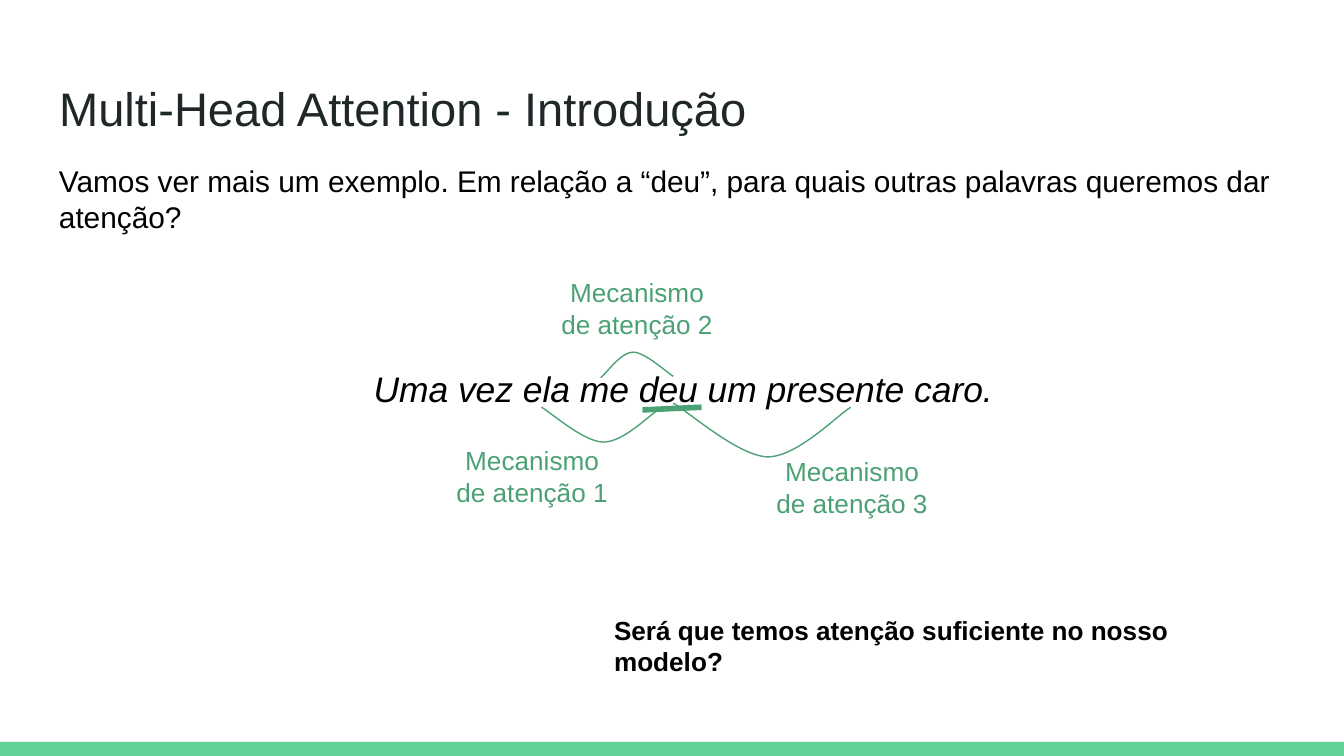
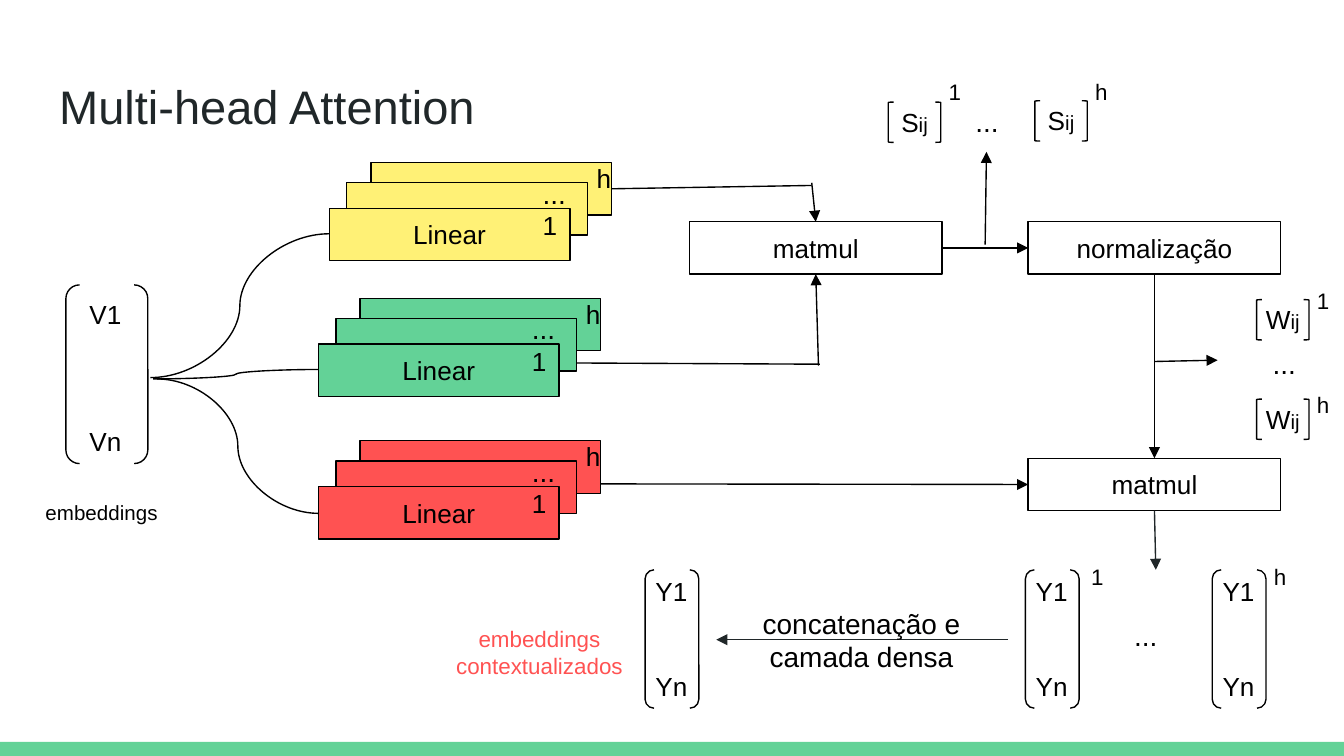
"""Build two slides on multi-head attention."""
from lxml import etree
from pptx import Presentation
from pptx.dml.color import RGBColor
from pptx.enum.shapes import MSO_CONNECTOR, MSO_SHAPE
from pptx.enum.text import MSO_ANCHOR, MSO_AUTO_SIZE, PP_ALIGN
from pptx.oxml.ns import qn
from pptx.util import Pt

PX = 9144
WIDE = 1000
FONT = "Arial"
THIN = 0.75
INSET = 10

BLACK = RGBColor(0x00, 0x00, 0x00)
DARK = RGBColor(0x20, 0x27, 0x29)
MINT = RGBColor(0x63, 0xD2, 0x97)
GREEN = RGBColor(0x4B, 0xA1, 0x73)
YELLOW = RGBColor(0xFF, 0xF1, 0x76)
RED = RGBColor(0xFF, 0x52, 0x52)

LEFT, CENTER = PP_ALIGN.LEFT, PP_ALIGN.CENTER
TOP, MIDDLE = MSO_ANCHOR.TOP, MSO_ANCHOR.MIDDLE
FIXED = MSO_AUTO_SIZE.NONE
STRAIGHT, CURVE = MSO_CONNECTOR.STRAIGHT, MSO_CONNECTOR.CURVE
RECT, PAIR = MSO_SHAPE.RECTANGLE, MSO_SHAPE.DOUBLE_BRACKET
OPEN, CLOSE = MSO_SHAPE.LEFT_BRACKET, MSO_SHAPE.RIGHT_BRACKET
ABOVE, BESIDE, BELOW, AFTER = range(4)


def scale(*sizes):
    """Turn px lengths into EMU."""
    return [size * PX for size in sizes]


def frame(shape, anchor=TOP):
    """Give a shape's text frame even insets and wrapping."""
    body = shape.text_frame
    body.word_wrap = True
    body.auto_size = FIXED
    body.vertical_anchor = anchor
    body.margin_left = body.margin_right = INSET * PX
    body.margin_top = body.margin_bottom = INSET * PX
    return body


def write(para, words, size, color=BLACK, bold=False, slant=False):
    """Add one run to a paragraph."""
    run = para.add_run()
    run.text = words
    font = run.font
    font.name, font.size = FONT, Pt(size)
    font.bold, font.italic = bold, slant
    font.color.rgb = color


def label(slide, box, lines, size=14, align=LEFT, gap=0, **style):
    """Add a text box with one paragraph per line."""
    body = frame(slide.shapes.add_textbox(*scale(*box)))
    for i, line in enumerate(lines):
        para = body.add_paragraph() if i else body.paragraphs[0]
        para.alignment = align
        if i and gap:
            para.space_before = Pt(gap)
        write(para, line, size, **style)
    return body


def dots(slide, x, y, w, align=CENTER):
    """Add an ellipsis."""
    label(slide, (x, y, w, 45), ["..."], 15, align)


def power(slide, x, y, mark):
    """Add a raised index."""
    label(slide, (x, y, 30, 40), [mark], 12)


def shape(slide, kind, box, fill=None, words=""):
    """Add a thin-lined preset shape."""
    item = slide.shapes.add_shape(kind, *scale(*box))
    item.shadow.inherit = False
    if fill is None:
        item.fill.background()
    else:
        item.fill.solid()
        item.fill.fore_color.rgb = fill
    item.line.color.rgb = BLACK
    item.line.width = Pt(THIN)
    if words:
        para = frame(item, MIDDLE).paragraphs[0]
        para.alignment = CENTER
        write(para, words, 14)
    return item


def link(slide, start, stop, arrow=True, color=BLACK, width=THIN,
         kind=STRAIGHT, source=None, target=None):
    """Add a connector, joined to (shape, side) pairs where given."""
    wire = slide.shapes.add_connector(kind, *scale(*start, *stop))
    if source:
        wire.begin_connect(*source)
    if target:
        wire.end_connect(*target)
    wire.line.color.rgb = color
    wire.line.width = Pt(width)
    props = wire.element.spPr
    if arrow:
        etree.SubElement(props.find(qn("a:ln")), qn("a:tailEnd"), type="triangle")
    etree.SubElement(props, qn("a:effectLst"))


def arc(slide, first, *points):
    """Draw an open Bezier curve, three points to each piece."""
    pen = slide.shapes.build_freeform(*first, scale=PX)
    pen.add_line_segments(points, close=False)
    item = pen.convert_to_shape()
    item.shadow.inherit = False
    item.fill.background()
    item.line.color.rgb = GREEN
    item.line.width = Pt(THIN)
    trace = item.element.find(".//" + qn("a:path"))
    steps = trace.findall(qn("a:lnTo"))
    for i in range(0, len(steps), 3):
        piece = etree.SubElement(trace, qn("a:cubicBezTo"))
        for step in steps[i:i + 3]:
            piece.append(step[0])
            trace.remove(step)


def stack(slide, x, y, fill):
    """Draw h stacked linear layers and return the rear one."""
    rear = shape(slide, RECT, (x + 31, y - 34, 179, 39), fill)
    shape(slide, RECT, (x + 13, y - 19, 179, 39), fill)
    shape(slide, RECT, (x, y, 179, 39), fill, "Linear")
    label(slide, (x + 149, y - 9, 30, 44), ["1"])
    dots(slide, x + 149, y - 34, 77, LEFT)
    label(slide, (x + 189, y - 44, 21, 44), ["h"])
    return rear


def matrix(slide, x, y, name, w, mark, rise):
    """Draw a bracketed matrix symbol with its head index."""
    shape(slide, OPEN, (x, y, 4, 30))
    shape(slide, CLOSE, (x + 35, y, 4, 30))
    body = label(slide, (x - (w - 38) // 2, y - 7, w, 44), [name], align=CENTER)
    write(body.paragraphs[0], "ij", 11)
    power(slide, x + 35, y - rise, mark)


def vector(slide, box, name, lift, gap):
    """Draw a column vector from item 1 to item n."""
    x, y, w, h = box
    shape(slide, PAIR, box)
    label(slide, (x + w // 2 - 33, y - lift, 65, h + 5 + lift),
          [name + "1", name + "n"], align=CENTER, gap=gap)


def start(deck, words, y, w):
    """Add a slide with its title."""
    slide = deck.slides.add_slide(deck.slide_layouts[5])
    title = slide.shapes.title
    title.left, title.top, title.width, title.height = scale(34, y, w, 63)
    para = frame(title).paragraphs[0]
    para.alignment = LEFT
    write(para, words, 25.2, DARK)
    return slide


def band(deck, slide):
    """Put the bottom band on the master."""
    strip = shape(slide, RECT, (0, 552, WIDE, 11), MINT)
    strip.line.fill.background()
    strip.element.nvSpPr.cNvPr.set("id", "99")
    deck.slide_master.shapes.element.append(strip.element)


def intro(slide):
    """Fill the slide with the example sentence."""
    label(slide, (228, 263, 561, 52), ["Uma vez ela me deu um presente caro."],
          19, CENTER, slant=True)
    arc(slide, (501, 280), (496, 277), (480, 262), (471, 262),
        (462, 262), (451, 278), (447, 281))
    arc(slide, (501, 300), (513, 307), (549, 339), (571, 340),
        (593, 340), (622, 310), (633, 303))
    label(slide, (447, 447, 519, 44),
          ["Será que temos atenção suficiente no nosso modelo?"], bold=True)
    label(slide, (34, 111, 932, 74),
          ["Vamos ver mais um exemplo. Em relação a “deu”, "
           "para quais outras palavras queremos dar atenção?"], 16)
    link(slide, (478, 305), (522, 303), False, GREEN, 3)
    arc(slide, (403, 303), (411, 308), (435, 329), (449, 329),
        (464, 329), (483, 309), (490, 305))
    for i, (x, y) in enumerate([(326, 321), (404, 196), (564, 329)], 1):
        label(slide, (x, y, 140, 67), [f"Mecanismo de atenção {i}"],
              align=CENTER, color=GREEN)


def scheme(slide):
    """Fill the slide with the attention flow."""
    vector(slide, (49, 212, 61, 133), "V", 0, 51)
    label(slide, (24, 362, 110, 39), ["embeddings"], 11)
    for begin, end in [((117, 282), (237, 382)), ((114, 282), (237, 275)),
                       ((112, 281), (245, 174))]:
        link(slide, begin, end, False, kind=CURVE)

    dot = shape(slide, RECT, (513, 165, 188, 39), words="matmul")
    norm = shape(slide, RECT, (765, 165, 188, 39), words="normalização")
    blend = shape(slide, RECT, (765, 341, 188, 39), words="matmul")
    link(slide, (411, 270), (610, 271), False)
    link(slide, (609, 272), (607, 204), target=(dot, BELOW))
    link(slide, (702, 185), (765, 185), source=(dot, AFTER), target=(norm, BESIDE))
    link(slide, (859, 204), (859, 341), source=(norm, BELOW), target=(blend, ABOVE))
    link(slide, (411, 360), (765, 360), target=(blend, BESIDE))
    link(slide, (859, 269), (906, 268))
    link(slide, (733, 182), (734, 113))

    rear = stack(slide, 245, 155, YELLOW)
    stack(slide, 237, 256, MINT)
    stack(slide, 237, 362, RED)
    link(slide, (455, 140), (604, 138), False, source=(rear, AFTER))
    link(slide, (604, 136), (607, 165), target=(dot, ABOVE))

    matrix(slide, 661, 76, "S", 43, "1", 28)
    matrix(slide, 770, 75, "S", 43, "h", 27)
    matrix(slide, 935, 223, "W", 47, "1", 19)
    matrix(slide, 935, 297, "W", 47, "h", 16)
    dots(slide, 711, 68, 47)
    dots(slide, 934, 248, 43)

    for x in (480, 763, 902):
        vector(slide, (x, 424, 40, 103), "Y", 6, 34)
    power(slide, 802, 409, "1")
    power(slide, 938, 409, "h")
    dots(slide, 829, 450, 47)
    link(slide, (859, 379), (860, 424), color=DARK, source=(blend, BELOW))
    link(slide, (750, 476), (533, 476), color=DARK)
    label(slide, (547, 441, 188, 71), ["concatenação e", "camada densa"], 15, CENTER)
    label(slide, (315, 455, 173, 61), ["embeddings contextualizados"],
          12, CENTER, color=RED)


def main():
    """Build and save the deck."""
    deck = Presentation()
    deck.slide_width = WIDE * PX
    deck.slide_height = WIDE * PX * 9 // 16
    first = start(deck, "Multi-Head Attention - Introdução", 49, 932)
    band(deck, first)
    intro(first)
    scheme(start(deck, "Multi-head Attention", 48, 358))
    deck.save("out.pptx")


if __name__ == "__main__":
    main()
